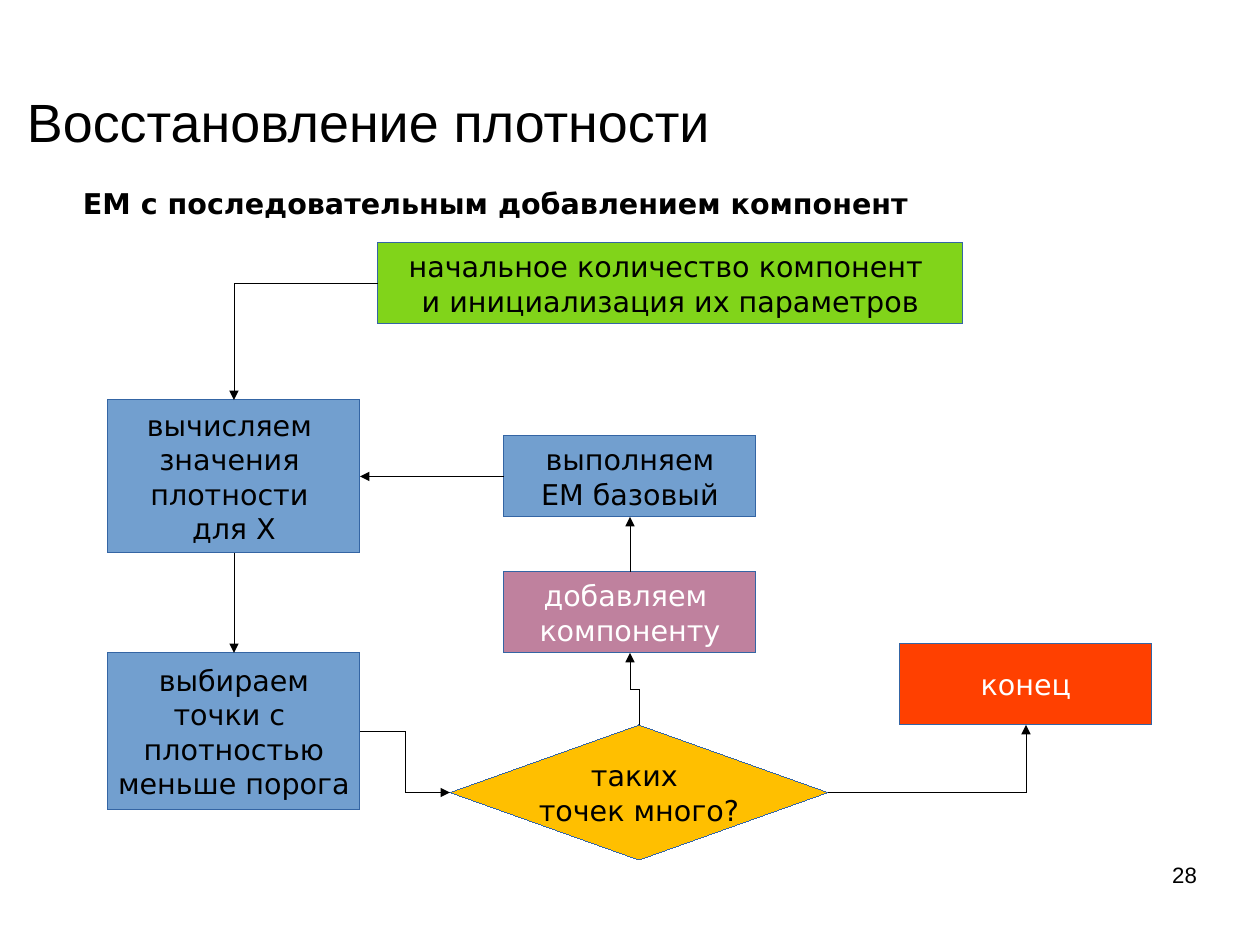
from pptx import Presentation
from pptx import util as u
from pptx.dml.color import RGBColor
from pptx.enum import shapes, text
from pptx.oxml import ns
from lxml import etree

THEME = {
    "black": "000000", "white": "FFFFFF", "outline": "3465A4",
    "green": "81D41A", "blue": "729FCF", "amber": "FFBF00",
    "red": "FF4000", "mauve": "BF819E",
    "sans": "Arial", "body": "DejaVu Sans",
    "title_pt": 33.9, "body_pt": 18, "page_pt": 14,
}
SLIDE = (1260, 945)
RECT, DIAMOND = shapes.MSO_SHAPE.RECTANGLE, shapes.MSO_SHAPE.DIAMOND
LEFT, CENTER, RIGHT = text.PP_ALIGN.LEFT, text.PP_ALIGN.CENTER, text.PP_ALIGN.RIGHT
TOP, MIDDLE = text.MSO_ANCHOR.TOP, text.MSO_ANCHOR.MIDDLE
NO_INSET, INSET = (0, 0), (11, 6)

LABELS = [
    ("Восстановление плотности", (27, 90, 1106, 62), "sans", "title_pt", False, LEFT, MIDDLE, NO_INSET),
    ("EM с последовательным добавлением компонент", (72, 180, 864, 45),
     "body", "body_pt", True, LEFT, TOP, INSET),
    ("28", (903, 861, 294, 65), "sans", "page_pt", False, RIGHT, TOP, NO_INSET),
]
STEPS = {
    "init": (RECT, (378, 243, 585, 81), "green", "black",
             ["начальное количество компонент ", "и инициализация их параметров"]),
    "density": (RECT, (108, 400, 252, 153), "blue", "black",
                ["вычисляем ", "значения ", "плотности ", "для X"]),
    "select": (RECT, (108, 653, 252, 157), "blue", "black",
               ["выбираем", "точки с ", "плотностью", "меньше порога"]),
    "many": (DIAMOND, (450, 725, 378, 135), "amber", "black", ["таких ", "точек много?"]),
    "end": (RECT, (900, 644, 252, 81), "red", "white", ["конец"]),
    "add": (RECT, (504, 572, 252, 81), "mauve", "white", ["добавляем ", "компоненту"]),
    "em": (RECT, (504, 436, 252, 81), "blue", "black", ["выполняем", "ЕМ базовый"]),
}
SITE_TOP, SITE_LEFT, SITE_BOTTOM, SITE_RIGHT = range(4)
ARROWS = [
    ("init", SITE_LEFT, "density", SITE_TOP, "corner"),
    ("density", SITE_BOTTOM, "select", SITE_TOP, "straight"),
    ("select", SITE_RIGHT, "many", SITE_LEFT, "step"),
    ("many", SITE_TOP, "add", SITE_BOTTOM, "rise"),
    ("many", SITE_RIGHT, "end", SITE_BOTTOM, "corner"),
    ("add", SITE_TOP, "em", SITE_BOTTOM, "straight"),
    ("em", SITE_LEFT, "density", SITE_RIGHT, "straight"),
]


def px(n):
    return u.Emu(n * 8000)


def color(name):
    return RGBColor.from_string(THEME[name])


def hairline(sp, name):
    sp.line.color.rgb = color(name)
    ln = sp._element.spPr.find(ns.qn("a:ln"))
    ln.set("w", "0")
    return ln


def write(tf, lines, font, size, ink, bold, align, anchor, inset, wrap):
    tf.word_wrap = wrap
    tf.vertical_anchor = anchor
    tf.margin_left = tf.margin_right = px(inset[0])
    tf.margin_top = tf.margin_bottom = px(inset[1])
    for i, line in enumerate(lines):
        p = tf.add_paragraph() if i else tf.paragraphs[0]
        p.alignment = align
        r = p.add_run()
        r.text = line
        r.font.name = THEME[font]
        r.font.size = u.Pt(THEME[size])
        r.font.bold = bold
        r.font.color.rgb = color(ink)


def add_label(s, line, box, font, size, bold, align, anchor, inset):
    tb = s.shapes.add_textbox(*map(px, box))
    write(tb.text_frame, [line], font, size, "black", bold, align, anchor, inset, True)


def add_step(s, kind, box, fill, ink, lines):
    sp = s.shapes.add_shape(kind, *map(px, box))
    sp.shadow.inherit = False
    sp.fill.solid()
    sp.fill.fore_color.rgb = color(fill)
    hairline(sp, "outline")
    write(sp.text_frame, lines, "body", "body_pt", ink, False, CENTER, MIDDLE, INSET, False)
    return sp


def add_arrow(s, start, start_site, finish, finish_site, route):
    kind = shapes.MSO_CONNECTOR.STRAIGHT if route == "straight" else shapes.MSO_CONNECTOR.ELBOW
    c = s.shapes.add_connector(kind, 0, 0, 0, 0)
    c.begin_connect(start, start_site)
    c.end_connect(finish, finish_site)
    spPr = c._element.spPr
    if route == "corner":
        spPr.find(ns.qn("a:prstGeom")).set("prst", "bentConnector2")
    if route == "rise":
        w, h = c.width, c.height
        c.left, c.top = c.left + (w - h) // 2, c.top + (h - w) // 2
        c.width, c.height = h, w
        xfrm = spPr.find(ns.qn("a:xfrm"))
        xfrm.set("rot", str(270 * 60000))
        xfrm.set("flipH", "0")
        xfrm.set("flipV", "1")
    etree.SubElement(hairline(c, "black"), ns.qn("a:tailEnd"), type="triangle")
    etree.SubElement(spPr, ns.qn("a:effectLst"))


def main():
    prs = Presentation()
    prs.slide_width, prs.slide_height = map(px, SLIDE)
    s = prs.slides.add_slide(prs.slide_layouts[6])
    for label in LABELS:
        add_label(s, *label)
    steps = {name: add_step(s, *step) for name, step in STEPS.items()}
    for start, start_site, finish, finish_site, route in ARROWS:
        add_arrow(s, steps[start], start_site, steps[finish], finish_site, route)
    prs.save("out.pptx")


if __name__ == "__main__":
    main()
